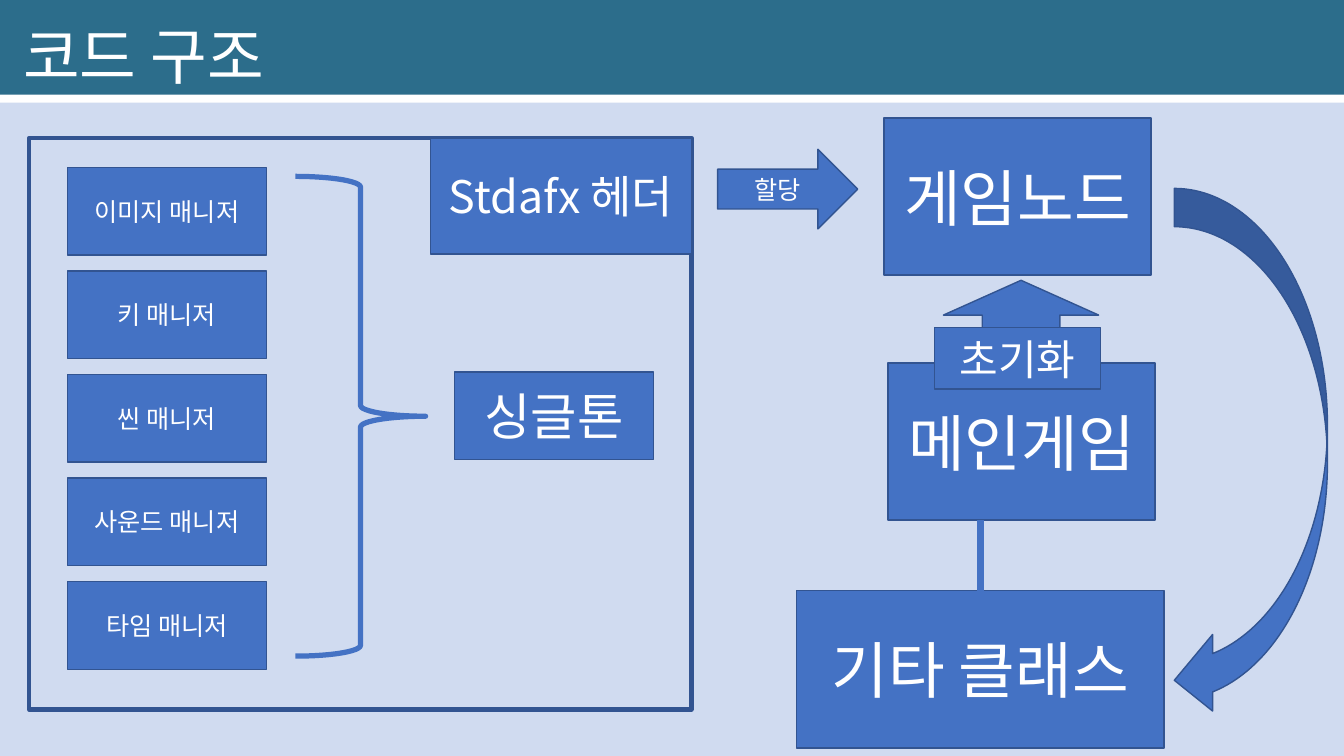
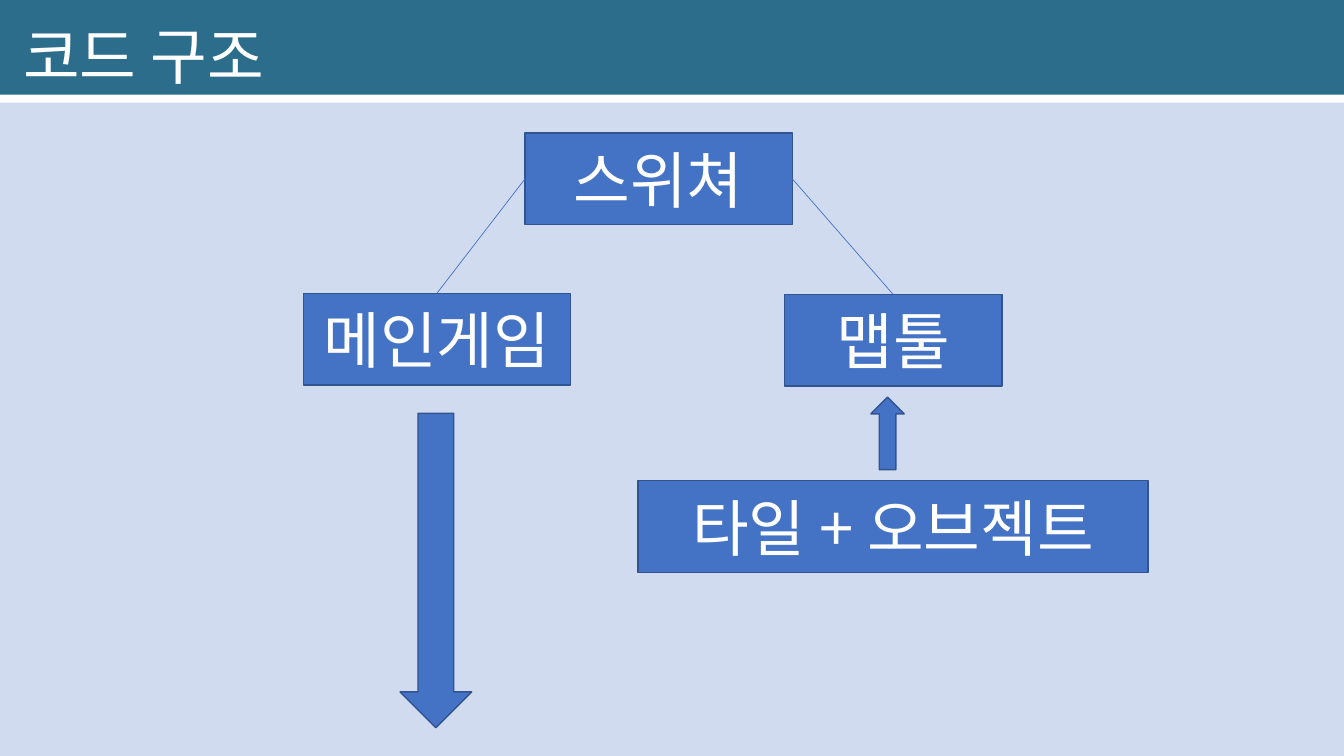
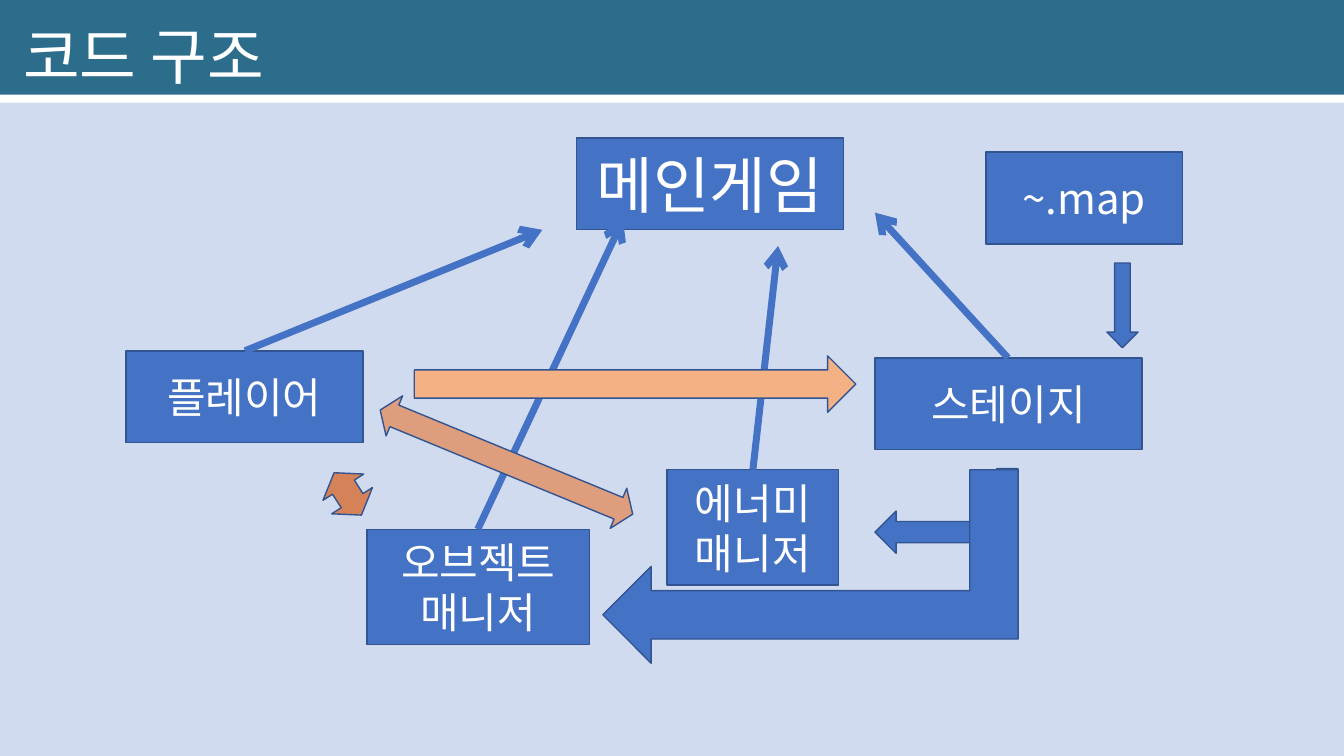
from dataclasses import dataclass
from typing import Optional

from lxml.etree import SubElement
from pptx import Presentation
from pptx.dml.color import RGBColor
from pptx.enum.shapes import MSO_CONNECTOR as Connector
from pptx.enum.shapes import MSO_SHAPE as Preset
from pptx.enum.text import MSO_ANCHOR as Anchor
from pptx.enum.text import MSO_AUTO_SIZE as AutoSize
from pptx.enum.text import PP_ALIGN as Align
from pptx.oxml.ns import qn
from pptx.util import Pt

WIDTH, HEIGHT = 960, 540
FONT = "Noto Sans CJK KR"
TITLE = "코드 구조"
WHITE, PAGE, BAND = "FFFFFF", "D0DBF0", "2C6D8B"
BLUE, OUTLINE = "4472C4", "325491"
PEACH, SALMON, RUST = "F4B183", "DE9D7C", "D58259"

SMALL, MEDIUM, LARGE = 18, 30, 44
BOX_WIDTH, TALL, SHORT = 190.8, 112.3, 65.5
MANAGER_WIDTH, MANAGER_HEIGHT, MANAGER_PITCH = 142, 62.6, 74
DOUBLE_ARROW = (0.536, 0.354)


@dataclass(frozen=True)
class Block:
    left: float
    top: float
    width: float
    height: float
    text: str = ""
    size: float = LARGE
    preset: Preset = Preset.RECTANGLE
    fill: Optional[str] = BLUE
    line: Optional[str] = OUTLINE
    line_width: float = 1
    rotation: float = 0
    flipped: bool = False
    adjustments: tuple[float, ...] = ()


@dataclass(frozen=True)
class Link:
    start: tuple[float, float]
    end: tuple[float, float]
    width: float = 5
    arrow: bool = False


def color(value: str) -> RGBColor:
    return RGBColor.from_string(value)


def write_text(shape, text: str, *, size: float, align=Align.CENTER, spacing: float = 1) -> None:
    frame = shape.text_frame
    frame.word_wrap = True
    frame.auto_size = AutoSize.NONE
    frame.vertical_anchor = Anchor.MIDDLE
    frame.text = text
    for paragraph in frame.paragraphs:
        paragraph.alignment = align
        paragraph.line_spacing = spacing
        for run in paragraph.runs:
            run.font.name = FONT
            run.font.size = Pt(size)
            run.font.color.rgb = color(WHITE)
            latin = run.font.name and run._r.rPr.find(qn("a:latin"))
            east_asian = SubElement(run._r.rPr, qn("a:ea"), typeface=FONT)
            latin.addnext(east_asian)


def draw_block(slide, block: Block):
    shape = slide.shapes.add_shape(
        block.preset, Pt(block.left), Pt(block.top), Pt(block.width), Pt(block.height)
    )
    shape.shadow.inherit = False
    shape.rotation = block.rotation
    for index, value in enumerate(block.adjustments):
        shape.adjustments[index] = value
    if block.flipped:
        shape.element.spPr.find(qn("a:xfrm")).set("flipV", "1")
    if block.fill:
        shape.fill.solid()
        shape.fill.fore_color.rgb = color(block.fill)
    else:
        shape.fill.background()
    if block.line:
        shape.line.color.rgb = color(block.line)
        shape.line.width = Pt(block.line_width)
    else:
        shape.line.fill.background()
    if block.text:
        write_text(shape, block.text, size=block.size)
    return shape


def draw_link(slide, link: Link) -> None:
    points = [Pt(value) for value in (*link.start, *link.end)]
    connector = slide.shapes.add_connector(Connector.STRAIGHT, *points)
    connector.line.color.rgb = color(BLUE)
    connector.line.width = Pt(link.width)
    properties = connector.element.spPr
    if link.arrow:
        SubElement(properties.find(qn("a:ln")), qn("a:tailEnd"), type="arrow")
    SubElement(properties, qn("a:effectLst"))


def add_diagram(presentation, layout, parts: list[Block | Link]):
    slide = presentation.slides.add_slide(layout)
    title = slide.shapes.title
    title.left, title.top, title.width, title.height = Pt(9.4), Pt(-2.2), Pt(648), Pt(90)
    write_text(title, TITLE, size=LARGE, align=Align.LEFT, spacing=0.9)
    for part in parts:
        if isinstance(part, Link):
            draw_link(slide, part)
        else:
            draw_block(slide, part)
    return slide


def add_bands(presentation, layout) -> None:
    """Draw the bands on the first slide, then move them to the shared layout."""
    slide = presentation.slides[0]
    bands = (
        Block(0, 73.4, WIDTH, HEIGHT - 73.4, fill=PAGE, line=None),
        Block(0, 0, WIDTH, 67.7, fill=BAND, line=None),
    )
    tree = layout.shapes.element
    for position, band in enumerate(bands, start=2):
        tree.insert(position, draw_block(slide, band).element)


def manager_blocks() -> list[Block]:
    names = ("이미지", "키", "씬", "사운드", "타임")
    return [
        Block(48.2, 119.5 + row * MANAGER_PITCH, MANAGER_WIDTH, MANAGER_HEIGHT,
              f"{name} 매니저", SMALL)
        for row, name in enumerate(names)
    ]


def overview() -> list[Block | Link]:
    return [
        *manager_blocks(),
        Block(211, 126, 93, 342.7, preset=Preset.RIGHT_BRACE, fill=None, line=BLUE, line_width=3.75),
        Block(324.7, 265.7, MANAGER_WIDTH, MANAGER_HEIGHT, "싱글톤", 36),
        Block(20.9, 98.6, 473, 408.2, fill=None, line_width=3.25),
        Block(631.4, 84.2, BOX_WIDTH, TALL, "게임노드"),
        Block(307.4, 98.6, 186.5, 82.8, "Stdafx 헤더", 32),
        Block(512.6, 106.6, 100.1, 56.9, "할당", SMALL, Preset.RIGHT_ARROW),
        Block(673.9, 200.2, 110.9, 49.7, preset=Preset.UP_ARROW),
        Block(634.3, 259.2, BOX_WIDTH, TALL, "메인게임"),
        Block(838.8, 134.6, 109.4, 378.7, preset=Preset.CURVED_LEFT_ARROW),
        Block(568.8, 421.9, 262.8, TALL, "기타 클래스"),
        Link((700.6, 421.9), (700.6, 371.5)),
        Block(667.4, 234, 118.8, 43.9, "초기화", MEDIUM),
    ]


def switcher() -> list[Block | Link]:
    return [
        Block(216.7, 209.5, BOX_WIDTH, SHORT, "메인게임"),
        Block(375.1, 95, BOX_WIDTH, SHORT, "스위쳐"),
        Block(560.2, 210.2, 155.5, SHORT, "맵툴"),
        Link((565.9, 127.7), (637.9, 210.2), 0.5),
        Link((375.1, 127.7), (312.1, 209.5), 0.5),
        Block(455.8, 343.4, 364.3, SHORT, "타일 + 오브젝트"),
        Block(622.1, 283.7, 23.8, 51.8, preset=Preset.UP_ARROW),
        Block(285.8, 295.2, 51.1, 224.6, preset=Preset.DOWN_ARROW),
    ]


def main_game() -> list[Block | Link]:
    return [
        Block(411.8, 98.6, BOX_WIDTH, SHORT, "메인게임"),
        Block(90, 250.6, 169.2, SHORT, "플레이어", MEDIUM),
        Block(476.6, 335.5, 122.4, 82.4, "에너미\n매니저", MEDIUM),
        Block(262.1, 378, 159.1, 82.4, "오브젝트\n매니저", MEDIUM),
        Block(625, 255.6, BOX_WIDTH, SHORT, "스테이지", MEDIUM),
        Link((175, 250.6), (387.4, 164.2), arrow=True),
        Link((341.3, 378), (445, 157), arrow=True),
        Link((537.8, 335.5), (555.8, 175.7), arrow=True),
        Link((720, 255.6), (625, 151.9), arrow=True),
        Block(704.2, 108.7, 140.4, SHORT, "~.map", MEDIUM),
        Block(790.6, 187.9, 22.3, 60.5, preset=Preset.DOWN_ARROW),
        Block(230.4, 335.5, 36, 34.6, preset=Preset.LEFT_RIGHT_ARROW, fill=RUST,
              rotation=57.2, adjustments=DOUBLE_ARROW),
        Block(264.2, 314.6, 195.1, 31, preset=Preset.LEFT_RIGHT_ARROW, fill=SALMON,
              rotation=22.4, adjustments=DOUBLE_ARROW),
        Block(645.8, 313.9, 60.5, 102.2, preset=Preset.BENT_UP_ARROW, rotation=90, flipped=True),
        Block(509.8, 256.3, 138.2, 296.6, preset=Preset.BENT_UP_ARROW, rotation=90, flipped=True),
        Block(295.9, 254.2, 315.4, 40.3, preset=Preset.RIGHT_ARROW, fill=PEACH),
    ]


def main() -> None:
    presentation = Presentation()
    presentation.slide_width, presentation.slide_height = Pt(WIDTH), Pt(HEIGHT)
    layout = presentation.slide_layouts.get_by_name("Title Only")
    for placeholder in list(layout.placeholders)[1:]:
        layout.shapes.element.remove(placeholder.element)
    for parts in (overview(), switcher(), main_game()):
        add_diagram(presentation, layout, parts)
    add_bands(presentation, layout)
    presentation.save("out.pptx")


if __name__ == "__main__":
    main()
